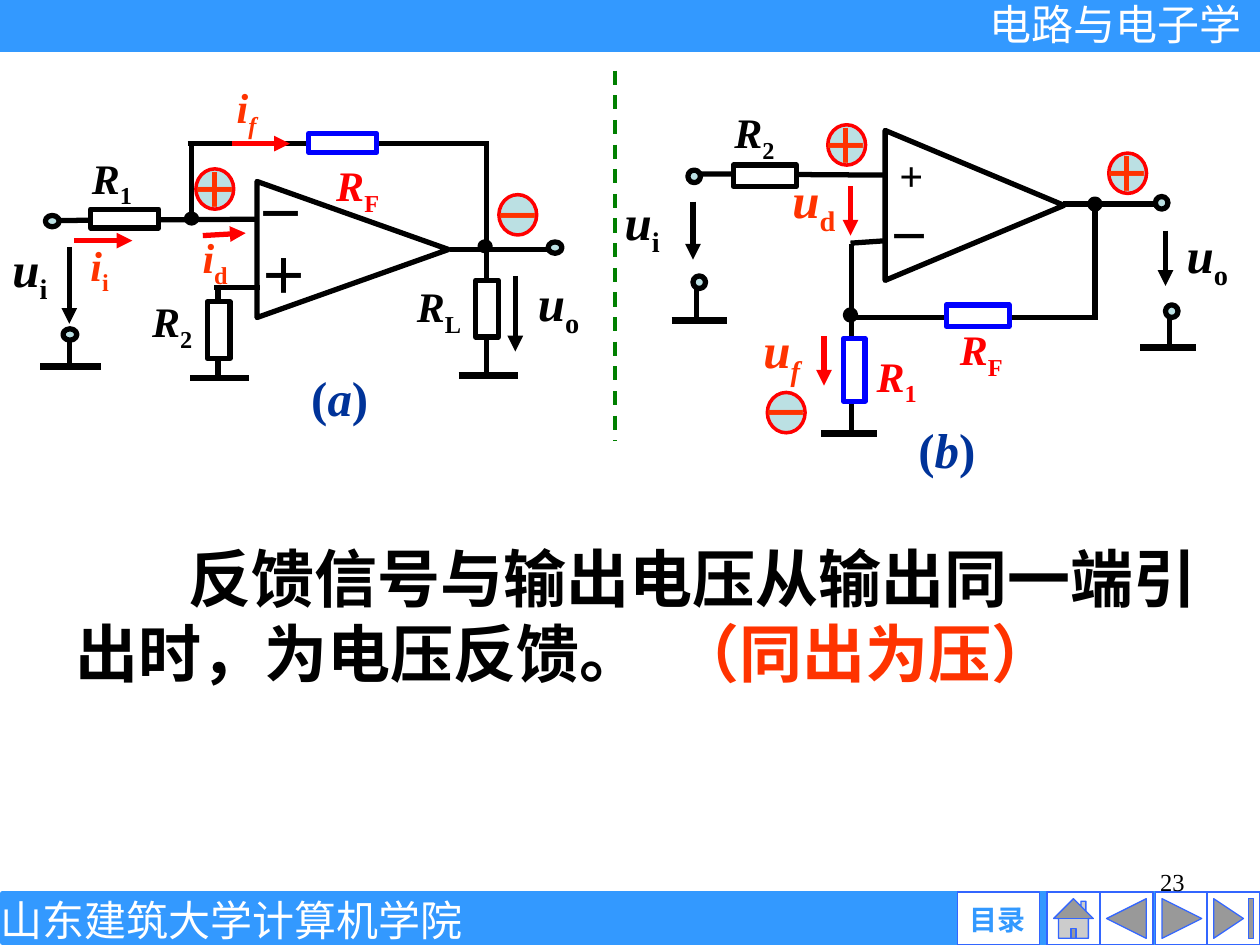
from dataclasses import dataclass

from lxml import etree
from pptx import Presentation
from pptx.dml.color import RGBColor
from pptx.enum.dml import MSO_LINE
from pptx.enum.shapes import MSO_CONNECTOR, MSO_SHAPE
from pptx.enum.text import MSO_ANCHOR, PP_ALIGN
from pptx.oxml.ns import qn
from pptx.util import Inches, Pt

RECT, OVAL = MSO_SHAPE.RECTANGLE, MSO_SHAPE.OVAL
CONE = MSO_SHAPE.ISOSCELES_TRIANGLE
HOME, BLANK = MSO_SHAPE.ACTION_BUTTON_HOME, MSO_SHAPE.ACTION_BUTTON_CUSTOM
BACK = MSO_SHAPE.ACTION_BUTTON_BACK_OR_PREVIOUS
NEXT, LAST = MSO_SHAPE.ACTION_BUTTON_FORWARD_OR_NEXT, MSO_SHAPE.ACTION_BUTTON_END
STRAIGHT, DASH = MSO_CONNECTOR.STRAIGHT, MSO_LINE.DASH
LEFT, MID, RIGHT = PP_ALIGN.LEFT, PP_ALIGN.CENTER, PP_ALIGN.RIGHT
TOP, CENTER = MSO_ANCHOR.TOP, MSO_ANCHOR.MIDDLE

BLACK, WHITE, RED, BLUE = "000000", "FFFFFF", "FF0000", "0000FF"
ORANGE, NAVY, GREEN = "FF3300", "003399", "008000"
SKY, EDGE, PALE = "3399FF", "3366FF", "BBE0E3"
SERIF, SANS = "Times New Roman", "Arial"
COLS, ROWS = 100, 75

deck = Presentation()
deck.slide_width, deck.slide_height = Inches(10), Inches(7.5)
slide = deck.slides.add_slide(deck.slide_layouts[6])
shapes = slide.shapes


@dataclass
class Wire:
    x1: float
    y1: float
    x2: float
    y2: float
    color: str = BLACK
    weight: float = 3
    arrow: bool = False
    dashed: bool = False


@dataclass
class Form:
    kind: int
    x: float
    y: float
    w: float
    h: float
    fill: str = WHITE
    edge: str = BLACK
    weight: float = 3
    turn: float = 0


@dataclass
class Bit:
    text: str
    slant: bool = False
    low: bool = False


@dataclass
class Label:
    x: float
    y: float
    w: float
    bits: list[Bit]
    size: float = 24
    color: str = BLACK
    h: float = 5
    bold: bool = True
    font: str = SERIF
    wrap: bool = True
    inset: bool = True
    align: int = LEFT
    anchor: int = TOP
    indent: float = 0


def across(n: float) -> int:
    return round(n * deck.slide_width / COLS)


def down(n: float) -> int:
    return round(n * deck.slide_height / ROWS)


def paint(code: str) -> RGBColor:
    return RGBColor.from_string(code)


def draw_wire(w: Wire) -> None:
    line = shapes.add_connector(STRAIGHT, across(w.x1), down(w.y1), across(w.x2), down(w.y2))
    line.line.color.rgb = paint(w.color)
    line.line.width = Pt(w.weight)
    if w.dashed:
        line.line.dash_style = DASH
    if w.arrow:
        etree.SubElement(line.line._get_or_add_ln(), qn("a:tailEnd"), type="triangle")
    etree.SubElement(line._element.spPr, qn("a:effectLst"))


def draw_form(f: Form) -> None:
    form = shapes.add_shape(f.kind, across(f.x), down(f.y), across(f.w), down(f.h))
    form.shadow.inherit = False
    form.rotation = f.turn
    if f.fill:
        form.fill.solid()
        form.fill.fore_color.rgb = paint(f.fill)
    else:
        form.fill.background()
    form.line.color.rgb = paint(f.edge)
    form.line.width = Pt(f.weight)


def draw_label(t: Label) -> None:
    frame = shapes.add_textbox(across(t.x), down(t.y), across(t.w), down(t.h)).text_frame
    frame.word_wrap = t.wrap
    frame.vertical_anchor = t.anchor
    if not t.inset:
        frame.margin_left = frame.margin_right = frame.margin_top = frame.margin_bottom = 0
    para = frame.paragraphs[0]
    para.alignment = t.align
    if t.indent:
        para._p.get_or_add_pPr().set("indent", str(across(t.indent)))
    for bit in t.bits:
        run = para.add_run()
        run.text = bit.text
        font = run.font
        font.name, font.size, font.bold, font.italic = t.font, Pt(t.size), t.bold, bit.slant
        font.color.rgb = paint(t.color)
        if bit.low:
            run._r.get_or_add_rPr().set("baseline", "-25000")


def draw_sign(x: float, y: float, mark: str) -> None:
    draw_form(Form(OVAL, x - 1.5, y - 1.6, 3, 3.2, PALE, RED, 2))
    draw_label(Label(x - 2.95, y - 2.85, 5.9, [Bit(mark)], 28, ORANGE, 5.7, wrap=False))


def draw_node(x: float, y: float, w: float, h: float, fill: str) -> None:
    draw_form(Form(OVAL, x - w / 2, y - h / 2, w, h, fill))


def math(main: str, sub: str, slant: bool = False) -> list[Bit]:
    return [Bit(main, True), Bit(sub, slant, True)]


def name(key: str) -> list[Bit]:
    return [Bit("("), Bit(key, True), Bit(")")]


def arrow(x1: float, y1: float, x2: float, y2: float, color: str = BLACK) -> Wire:
    return Wire(x1, y1, x2, y2, color, arrow=True)


def ground(x: float, y: float, w: float) -> Wire:
    return Wire(x, y, x + w, y, weight=4)


FRAME = [
    Form(RECT, 0.2, 70.9, 99.8, 3.9, SKY, SKY),
    Form(RECT, 0, 0, 100, 3.9, SKY, SKY),
    Form(BLANK, 76, 70.8, 6.5, 4.2, WHITE, EDGE, 0.75),
] + [
    Form(kind, x, 70.8, 4.2, 4.2, WHITE, EDGE, 0.75)
    for kind, x in [(HOME, 83.1), (BACK, 87.3), (NEXT, 91.7), (LAST, 95.8)]
]

WIRES = [
    Wire(17, 22.8, 20.6, 22.8), Wire(4.6, 17.5, 20.3, 17.4), Wire(38.6, 11.5, 38.6, 30),
    Wire(15.2, 11.4, 15.2, 17.4), Wire(14.9, 11.4, 38.8, 11.4), Wire(17.3, 22.6, 17.3, 30.2),
    Wire(35.7, 19.8, 44.7, 19.8), Wire(5.5, 27.1, 5.5, 29.2),
    ground(15.1, 30, 4.7), ground(36.4, 29.8, 4.7), ground(3.2, 29.1, 4.8),
    arrow(5.5, 19.6, 5.5, 25.7), arrow(40.9, 21.9, 40.9, 27.9),
    arrow(18.4, 11.4, 23, 11.4, RED), arrow(5.9, 19.1, 10.5, 19.1, RED),
    arrow(16.1, 18.7, 19.5, 18.5, RED),
    Wire(67.5, 19.3, 70.4, 19.1), Wire(55.5, 13.8, 70.1, 13.9), Wire(86.9, 16.7, 86.9, 25.4),
    Wire(67.6, 19.4, 67.6, 34.2), Wire(67.3, 25.2, 87.1, 25.2), Wire(84.4, 16.2, 92.8, 16.2),
    Wire(55.3, 22.7, 55.3, 25.4), Wire(92.8, 25, 92.8, 27.7),
    ground(90.5, 27.6, 4.4), ground(65.2, 34.4, 4.4), ground(53.3, 25.4, 4.4),
    arrow(55, 16, 55, 20.6), arrow(92.5, 18.3, 92.5, 22.7),
    arrow(67.5, 14.8, 67.5, 18.7, RED), arrow(65.4, 26.7, 65.4, 30.6, RED),
    Wire(48.8, 5.6, 48.8, 35, GREEN, 2, dashed=True),
]

FORMS = [
    Form(CONE, 22.6, 12.2, 10.8, 15.2, "", turn=90),
    Form(CONE, 71.4, 9.2, 11.9, 14.2, "", turn=90),
    Form(RECT, 7.2, 16.6, 5.4, 1.5), Form(RECT, 24.5, 10.6, 5.4, 1.5, edge=BLUE),
    Form(RECT, 15.1, 25.3, 4.5, 1.8, turn=270), Form(RECT, 36.4, 23.6, 4.5, 1.8, turn=270),
    Form(RECT, 58.2, 13.1, 5, 1.7), Form(RECT, 75.1, 24.2, 5, 1.7, edge=BLUE),
    Form(RECT, 65.3, 28.5, 5, 1.7, edge=BLUE, turn=90),
]

NODES = [
    (4.15, 17.55, 1.1, 0.9, PALE), (44.05, 19.65, 1.1, 0.9, PALE), (5.55, 26.55, 1.1, 0.9, PALE),
    (15.2, 17.35, 0.8, 0.7, BLACK), (38.5, 19.55, 0.8, 0.7, BLACK),
    (55.1, 14, 1, 1, PALE), (92.2, 16.1, 1, 1, PALE), (55.5, 22.4, 1, 1, PALE),
    (93, 24.7, 1, 1, PALE), (67.5, 25, 0.8, 0.8, BLACK), (86.9, 16.2, 0.8, 0.8, BLACK),
]

SIGNS = [(17.05, 15, "＋"), (41.1, 17.05, "－"), (67.2, 11.5, "＋"), (89.5, 13.75, "＋"), (62.4, 32.75, "－")]

LABELS = [
    Label(19.6, 19, 5.2, [Bit("＋")], 28), Label(19.4, 14.1, 4.5, [Bit("－")], 28),
    Label(69.5, 16.2, 5.8, [Bit("－")]), Label(70.4, 11.4, 6.7, [Bit("+")]),
    Label(0, 18.4, 6.6, math("u", "i"), 28), Label(41.7, 21.1, 6.9, math("u", "o"), 28),
    Label(32.1, 21.8, 7.3, math("R", "L")), Label(11.1, 23, 6.7, math("R", "2")),
    Label(6.3, 11.6, 5.8, math("R", "1")), Label(25.7, 12.2, 6.9, math("R", "F"), color=RED),
    Label(17.8, 6, 4.3, math("i", "f", True), color=ORANGE),
    Label(6.2, 18.5, 4.3, math("i", "i"), color=ORANGE),
    Label(15.1, 17.9, 4.3, math("i", "d"), color=ORANGE),
    Label(24.7, 29.2, 5.5, name("a"), 28, NAVY, 4.7, inset=False),
    Label(48.6, 14.7, 6.2, math("u", "i"), 28), Label(93.2, 17.3, 6.4, math("u", "o"), 28),
    Label(68.6, 27.3, 7.3, math("R", "1"), color=RED), Label(57.3, 8, 7.3, math("R", "2")),
    Label(75.2, 25.2, 7.3, math("R", "F"), color=RED),
    Label(61.9, 13, 5.7, math("u", "d"), 28, ORANGE, 5.7, wrap=False),
    Label(59.6, 24.9, 5.1, math("u", "f", True), 28, ORANGE, 5.7, wrap=False),
    Label(71.9, 32.8, 6.6, name("b"), 28, NAVY, 5.7, wrap=False),
    Label(5, 42.3, 92.5, [Bit("反馈信号与输出电压从输出同一端引出时，为电压反馈。")], 36, h=13, indent=9),
    Label(52.7, 48.3, 41.7, [Bit("（同出为压）")], 36, ORANGE, 7),
    Label(71.7, 68.3, 23.3, [Bit("23")], 14, h=5.2, bold=False, align=RIGHT),
    Label(76, 71.6, 6.3, [Bit("目录")], 16, SKY, 2.7, font=SANS, inset=False, align=MID, anchor=CENTER),
    Label(76.3, -0.1, 24.4, [Bit("电路与电子学")], 24, WHITE, 4, False, SANS, True, False, MID, CENTER),
    Label(0, 71, 36.7, [Bit("山东建筑大学计算机学院")], 24, WHITE, 4, False, SERIF, False, False, MID, CENTER),
]

for form in FRAME:
    draw_form(form)
for wire in WIRES:
    draw_wire(wire)
for form in FORMS:
    draw_form(form)
for node in NODES:
    draw_node(*node)
for sign in SIGNS:
    draw_sign(*sign)
for label in LABELS:
    draw_label(label)

deck.save("out.pptx")
